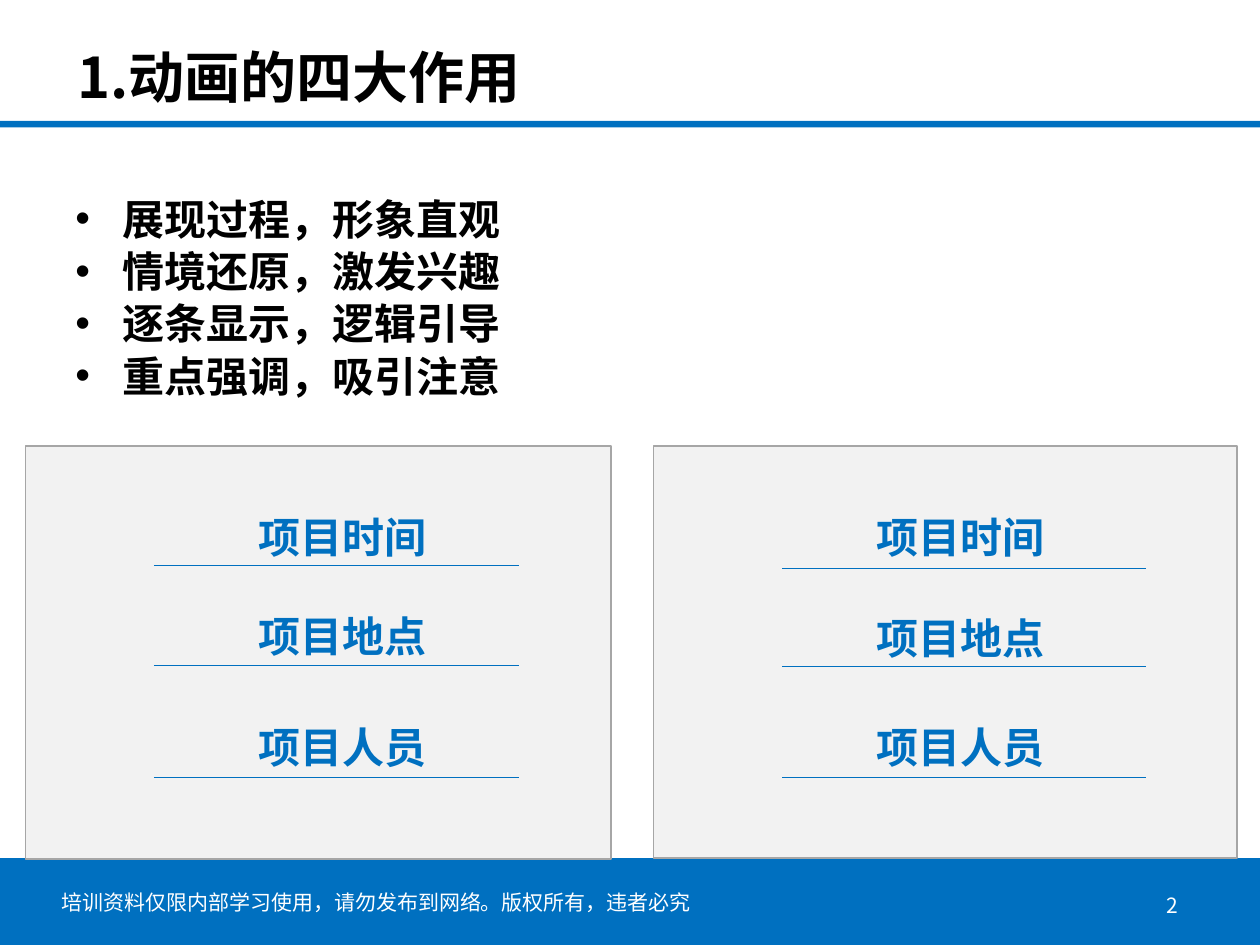
from dataclasses import dataclass

from lxml.etree import SubElement
from pptx import Presentation
from pptx.dml.color import RGBColor as Rgb
from pptx.enum.shapes import MSO_CONNECTOR as Link, MSO_SHAPE as Geo
from pptx.enum.text import MSO_ANCHOR as Anchor, MSO_AUTO_SIZE as Fit, PP_ALIGN as Align
from pptx.oxml.ns import qn
from pptx.util import Cm, Pt

FONT = "Noto Sans CJK SC"
HEX = {"blue": "0070C0", "white": "FFFFFF", "black": "000000",
       "panel": "F2F2F2", "edge": "A6A6A6"}
ITEMS = ["展现过程，形象直观", "情境还原，激发兴趣", "逐条显示，逻辑引导", "重点强调，吸引注意"]
LABELS = ["项目时间", "项目地点", "项目人员"]


@dataclass
class Box:
    x: float
    y: float
    w: float
    h: float

    def place(self) -> tuple:
        return Cm(self.x), Cm(self.y), Cm(self.w), Cm(self.h)


@dataclass
class Card:
    box: Box
    start: float
    end: float
    rules: tuple
    left: float
    tops: tuple


def color(name: str) -> Rgb:
    return Rgb.from_string(HEX[name])


def add_run(para, text: str, size: int, tint: str, bold: bool = False) -> None:
    run = para.add_run()
    run.text = text
    font = run.font
    font.name, font.size, font.bold = FONT, Pt(size), bold
    font.color.rgb = color(tint)
    SubElement(font._element, qn("a:ea")).set("typeface", FONT)


def add_rect(slide, box: Box, fill: str, edge: str = "") -> None:
    rect = slide.shapes.add_shape(Geo.RECTANGLE, *box.place())
    rect.shadow.inherit = False
    rect.fill.solid()
    rect.fill.fore_color.rgb = color(fill)
    if edge:
        rect.line.color.rgb = color(edge)
        rect.line.width = Pt(0.75)
    else:
        rect.line.fill.background()


def add_rule(slide, start: float, end: float, y: float) -> None:
    rule = slide.shapes.add_connector(Link.STRAIGHT, Cm(start), Cm(y), Cm(end), Cm(y))
    rule.line.color.rgb = color("blue")
    rule.line.width = Pt(0.75)
    SubElement(rule._element.spPr, qn("a:effectLst"))


def add_text(slide, box: Box, wrap: bool = True):
    frame = slide.shapes.add_textbox(*box.place()).text_frame
    frame.word_wrap = wrap
    return frame


def add_bullet(para) -> None:
    props = para._p.get_or_add_pPr()
    props.set("marL", str(Cm(0.95)))
    props.set("indent", str(-Cm(0.95)))
    SubElement(props, qn("a:buFont")).set("typeface", "Arial")
    SubElement(props, qn("a:buChar")).set("char", "•")


def add_card(slide, card: Card) -> None:
    add_rect(slide, card.box, "panel", "edge")
    for y in card.rules:
        add_rule(slide, card.start, card.end, y)
    for text, top in zip(LABELS, card.tops):
        frame = add_text(slide, Box(card.left, top, 3.94, 1.27), wrap=False)
        para = frame.paragraphs[0]
        para.alignment = Align.CENTER
        add_run(para, text, 24, "blue", True)


def main() -> None:
    deck = Presentation()
    deck.slide_width, deck.slide_height = Cm(25.4), Cm(19.05)
    slide = deck.slides.add_slide(deck.slide_layouts[5])

    # Bands and footer
    add_rect(slide, Box(0, 17.3, 25.4, 1.78), "blue")
    add_rect(slide, Box(0, 2.44, 25.4, 0.13), "blue")
    foot = add_text(slide, Box(0.99, 17.81, 18.8, 0.76))
    add_run(foot.paragraphs[0], "培训资料仅限内部学习使用，请勿发布到网络。版权所有，违者必究", 12, "white")

    # Title
    title = slide.shapes.title
    title.left, title.top, title.width, title.height = Box(1.3, 0.76, 22.91, 1.55).place()
    frame = title.text_frame
    frame.auto_size, frame.vertical_anchor = Fit.NONE, Anchor.MIDDLE
    head = frame.paragraphs[0]
    head.alignment = Align.LEFT
    add_run(head, "1.动画的四大作用", 32, "black", True)

    # Bullet list
    body = add_text(slide, Box(1.27, 3.94, 22.86, 5))
    for i, item in enumerate(ITEMS):
        para = body.add_paragraph() if i else body.paragraphs[0]
        para.space_before, para.line_spacing = Pt(6), 0.83
        add_bullet(para)
        add_run(para, item, 24, "black", True)

    # Project cards
    cards = [
        Card(Box(0.51, 8.99, 11.81, 8.33), 3.1, 10.46,
             (11.4, 13.41, 15.67), 4.93, (10.19, 12.19, 14.43)),
        Card(Box(13.18, 8.99, 11.76, 8.31), 15.77, 23.11,
             (11.46, 13.44, 15.67), 17.4, (10.19, 12.22, 14.43)),
    ]
    for card in cards:
        add_card(slide, card)

    # Page number
    page = add_text(slide, Box(23.04, 17.73, 1.19, 1.02))
    page.vertical_anchor = Anchor.MIDDLE
    page.paragraphs[0].alignment = Align.CENTER
    add_run(page.paragraphs[0], "2", 12, "white")

    deck.save("out.pptx")


if __name__ == "__main__":
    main()
